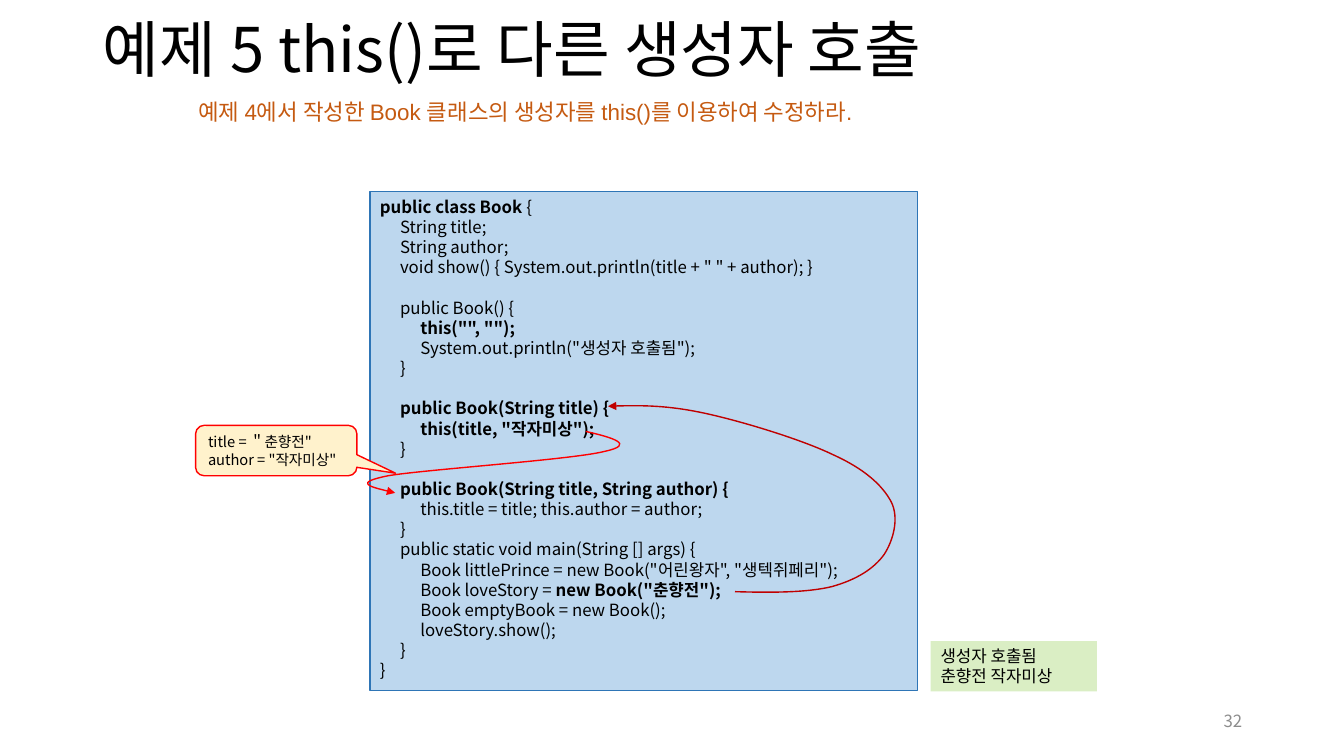
"""Build the slide on calling another constructor with this()."""
from dataclasses import dataclass
from typing import Any, Optional

import lxml.etree
import pptx
import pptx.dml.color
import pptx.enum.shapes
import pptx.enum.text
import pptx.oxml.ns
import pptx.util

PX = 9144
TAB = 20
Shapes = pptx.enum.shapes.MSO_SHAPE
Anchor = pptx.enum.text.MSO_ANCHOR
Align = pptx.enum.text.PP_ALIGN
AutoSize = pptx.enum.text.MSO_AUTO_SIZE
Box = tuple[int, int, int, int]
Point = tuple[int, int]


@dataclass(frozen=True)
class Theme:
    sans: str = "Noto Sans CJK KR"
    latin: str = "Arial"
    black: str = "000000"
    gray: str = "8C8C8C"
    orange: str = "C55A11"
    blue_fill: str = "BDD7EE"
    blue_line: str = "2E75B6"
    green_fill: str = "DAEEC4"
    cream_fill: str = "FFF2CC"
    red: str = "FF0000"
    dark_red: str = "C00000"
    title_size: float = 44
    task_size: float = 16
    body_size: float = 12
    callout_size: float = 10.5


THEME = Theme()


@dataclass(frozen=True)
class TextStyle:
    size: float = THEME.body_size
    color: str = THEME.black
    font: str = THEME.sans
    align: Any = Align.LEFT
    anchor: Any = Anchor.TOP
    auto_size: Any = AutoSize.SHAPE_TO_FIT_TEXT
    wrap: bool = True


@dataclass(frozen=True)
class Panel:
    box: Box
    text: str
    fill: str
    line: Optional[str] = None
    line_width: float = 0.75
    kind: Any = Shapes.RECTANGLE
    style: TextStyle = TextStyle()
    adjustments: tuple[float, ...] = ()


@dataclass(frozen=True)
class CurvedArrow:
    box: Box
    color: str
    points: tuple[Point, ...]


CODE = """**public class Book **{
\tString title;
\tString author;
\tvoid show() { System.out.println(title + " " + author); }

\tpublic Book() {
\t\t**this("", "");**
\t\tSystem.out.println("생성자 호출됨");
\t}

\t**public Book(String title) {**
\t\t**this(title, "작자미상");**
\t}

\t**public Book(String title, String author) {**
\t\tthis.title = title; this.author = author;
\t}
\tpublic static void main(String [] args) {
\t\tBook littlePrince = new Book("어린왕자", "생텍쥐페리");
\t\tBook loveStory = **new Book("춘향전");**
\t\tBook emptyBook = new Book();
\t\tloveStory.show();
\t}
}"""

CODE_PANEL = Panel((367, 190, 543, 495), CODE, THEME.blue_fill, THEME.blue_line)
OUTPUT_PANEL = Panel((923, 636, 165, 50), "생성자 호출됨\n춘향전 작자미상", THEME.green_fill)
ARGUMENT_CALLOUT = Panel(
    (194, 422, 160, 50), "title = ＂춘향전\"\nauthor = \"작자미상\"",
    THEME.cream_fill, THEME.red, 1, Shapes.ROUNDED_RECTANGULAR_CALLOUT,
    TextStyle(size=THEME.callout_size, wrap=False), (0.74, 0.45, 0.17))
THIS_ARROW = CurvedArrow((366, 428, 249, 61), THEME.red, (
    (581, 428), (607, 434), (632, 441), (599, 448), (567, 456), (420, 466),
    (385, 472), (350, 479), (371, 484), (392, 489)))
NEW_ARROW = CurvedArrow((603, 403, 285, 185), THEME.dark_red, (
    (729, 587), (765, 588), (800, 588), (825, 582), (850, 575), (867, 564),
    (877, 550), (886, 536), (892, 514), (884, 498), (875, 481), (857, 465),
    (826, 451), (795, 436), (736, 418), (699, 410), (662, 402), (632, 402),
    (603, 403)))


def px(length: float) -> int:
    """Turn px into EMU."""
    return round(length * PX)


def rgb(color: str) -> Any:
    """Return the colour object for a hex value."""
    return pptx.dml.color.RGBColor.from_string(color)


def add_element(parent: Any, tag: str, **attributes: Any) -> Any:
    """Append a drawing element to a parent."""
    values = {name: str(value) for name, value in attributes.items()}
    return lxml.etree.SubElement(parent, pptx.oxml.ns.qn(tag), values)


def write_line(paragraph: Any, line: str, style: TextStyle) -> None:
    """Write one line, setting the parts between double asterisks in bold."""
    if "\t" in line:
        stops = add_element(paragraph._p.get_or_add_pPr(), "a:tabLst")
        for level in (1, 2):
            add_element(stops, "a:tab", pos=px(level * TAB), algn="l")
    paragraph.alignment = style.align
    for index, part in enumerate(line.split("**")):
        if not part:
            continue
        run = paragraph.add_run()
        run.text = part
        run.font.size = pptx.util.Pt(style.size)
        run.font.name = style.font
        run.font.bold = index % 2 == 1
        run.font.color.rgb = rgb(style.color)
        add_element(run.font._element, "a:ea", typeface=THEME.sans)
    if not line:
        add_element(paragraph._p, "a:endParaRPr", sz=round(style.size * 100))


def write_text(shape: Any, text: str, style: TextStyle) -> None:
    """Fill a shape with styled lines."""
    frame = shape.text_frame
    frame.word_wrap = style.wrap
    frame.auto_size = style.auto_size
    frame.vertical_anchor = style.anchor
    for index, line in enumerate(text.split("\n")):
        paragraph = frame.add_paragraph() if index else frame.paragraphs[0]
        write_line(paragraph, line, style)


def add_text(slide: Any, box: Box, text: str, style: TextStyle) -> None:
    """Add a plain text box."""
    write_text(slide.shapes.add_textbox(*map(px, box)), text, style)


def add_panel(slide: Any, panel: Panel) -> None:
    """Add a filled shape with text."""
    shape = slide.shapes.add_shape(panel.kind, *map(px, panel.box))
    shape.shadow.inherit = False
    for index, value in enumerate(panel.adjustments):
        shape.adjustments[index] = value
    shape.fill.solid()
    shape.fill.fore_color.rgb = rgb(panel.fill)
    if panel.line:
        shape.line.color.rgb = rgb(panel.line)
        shape.line.width = pptx.util.Pt(panel.line_width)
    else:
        shape.line.fill.background()
    write_text(shape, panel.text, panel.style)


def add_curved_arrow(slide: Any, arrow: CurvedArrow) -> None:
    """Add an open Bezier curve that ends in an arrowhead."""
    left, top, width, height = arrow.box
    builder = slide.shapes.build_freeform(left, top, scale=PX)
    builder.add_line_segments([(left + width, top + height)], close=False)
    shape = builder.convert_to_shape()
    outline = shape.element.find(".//" + pptx.oxml.ns.qn("a:path"))
    for child in list(outline):
        outline.remove(child)
    for index, (x, y) in enumerate(arrow.points):
        if index == 0:
            command = add_element(outline, "a:moveTo")
        elif index % 3 == 1:
            command = add_element(outline, "a:cubicBezTo")
        add_element(command, "a:pt", x=x - left, y=y - top)
    shape.shadow.inherit = False
    shape.fill.background()
    shape.line.color.rgb = rgb(arrow.color)
    shape.line.width = pptx.util.Pt(1)
    add_element(shape.element.find(".//" + pptx.oxml.ns.qn("a:ln")), "a:tailEnd", type="triangle")


def main() -> None:
    """Build and save the slide."""
    presentation = pptx.Presentation()
    presentation.slide_width, presentation.slide_height = px(1333), px(750)
    slide = presentation.slides.add_slide(presentation.slide_layouts[5])
    title = slide.shapes.title
    title.left, title.top, title.width, title.height = map(px, (92, 0, 1150, 105))
    write_text(title, "예제 5 this()로 다른 생성자 호출", TextStyle(
        size=THEME.title_size, anchor=Anchor.MIDDLE, auto_size=AutoSize.NONE))
    title.text_frame.paragraphs[0].line_spacing = 0.9
    add_text(slide, (942, 695, 300, 40), "32", TextStyle(
        color=THEME.gray, align=Align.RIGHT, anchor=Anchor.MIDDLE, auto_size=AutoSize.NONE))
    add_text(slide, (187, 92, 856, 37),
             "예제 4에서 작성한 Book 클래스의 생성자를 this()를 이용하여 수정하라.",
             TextStyle(size=THEME.task_size, color=THEME.orange, font=THEME.latin))
    add_panel(slide, CODE_PANEL)
    add_panel(slide, OUTPUT_PANEL)
    add_curved_arrow(slide, THIS_ARROW)
    add_panel(slide, ARGUMENT_CALLOUT)
    add_curved_arrow(slide, NEW_ARROW)
    presentation.save("out.pptx")


if __name__ == "__main__":
    main()
